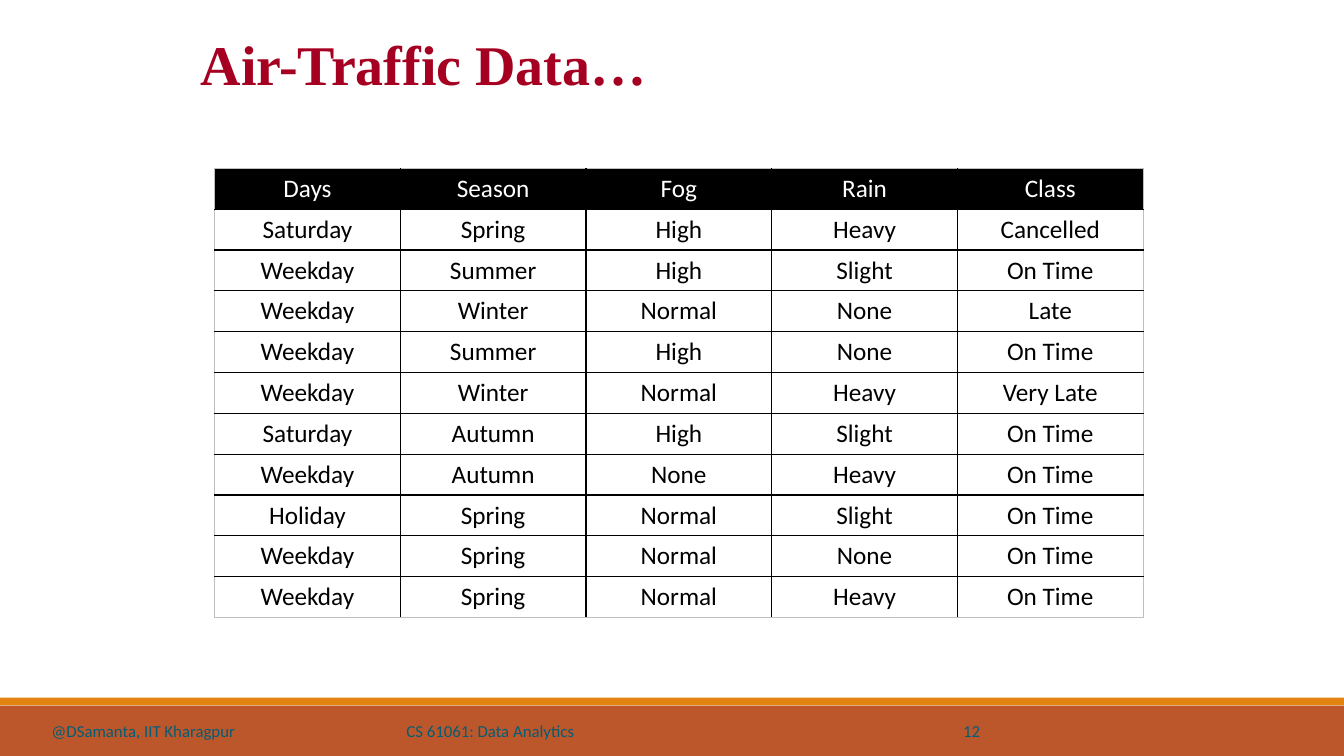
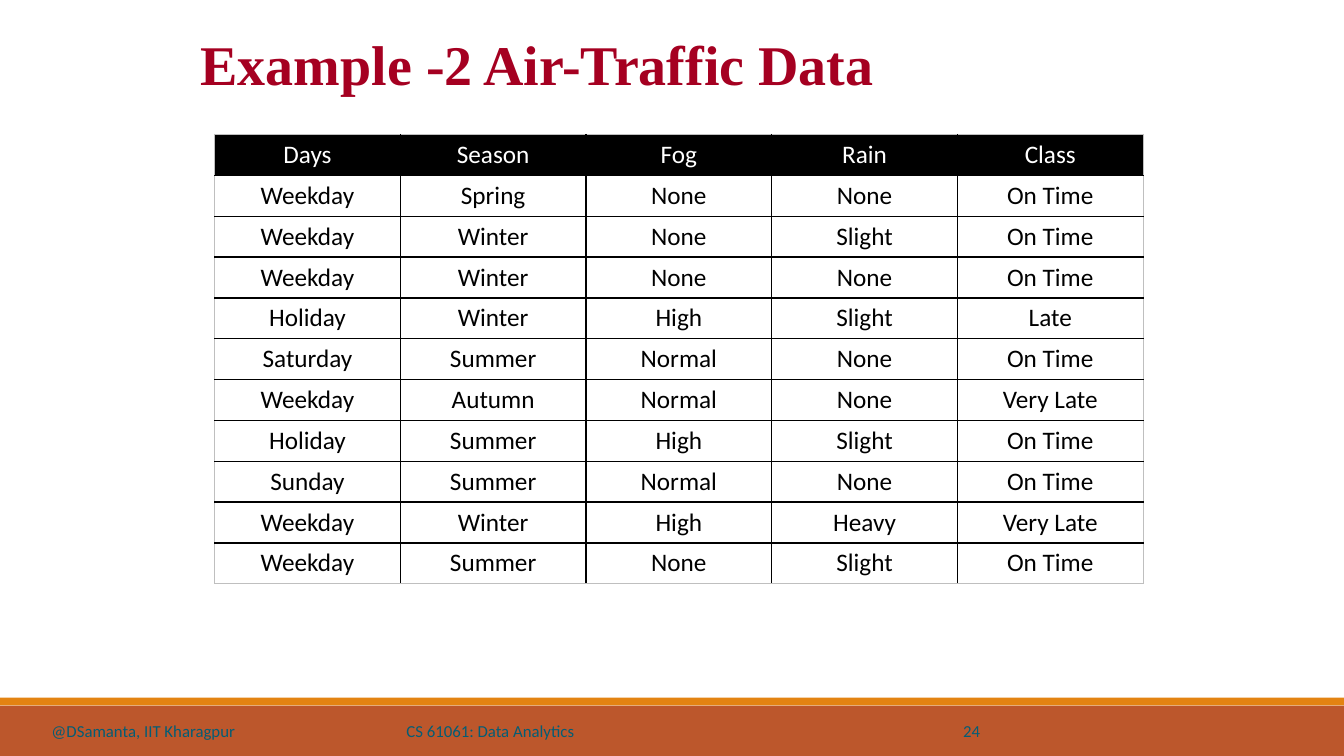
from lxml import etree
from pptx import Presentation
from pptx.dml.color import RGBColor
from pptx.enum.shapes import MSO_SHAPE
from pptx.enum.text import MSO_ANCHOR, PP_ALIGN
from pptx.oxml.ns import qn
from pptx.util import Inches, Pt

RECTANGLE = MSO_SHAPE.RECTANGLE
TOP, BOTTOM = MSO_ANCHOR.TOP, MSO_ANCHOR.BOTTOM
LEFT, CENTER, RIGHT = PP_ALIGN.LEFT, PP_ALIGN.CENTER, PP_ALIGN.RIGHT

SLIDE_WIDTH, SLIDE_HEIGHT = Inches(13.33), Inches(7.5)
COLORS = {
    "title": "A50021",
    "band": "BC572C",
    "stripe": "E38312",
    "footer": "045D75",
    "black": "000000",
    "white": "FFFFFF",
    "frame": "BFBFBF",
}
TITLE_FONT, BODY_FONT = "Times New Roman", "Calibri"

# Boxes are left, top, width, height in percent of the slide's size.
TITLE_BOX = (14.93, 3.87, 69.09, 16.67)
BAND_BOX = (0, 93.33, 100, 6.67)
STRIPE_BOX = (0, 92.27, 100, 1.06)
FOOTER_TOP, FOOTER_HEIGHT = 92.67, 5.33
TABLE_LEFT, TABLE_WIDTH, TABLE_HEIGHT = 15.97, 69.09, 59.47

HEADER = ("Days", "Season", "Fog", "Rain", "Class")
TRAFFIC_SLIDES = [
    {
        "title": "Air-Traffic Data…",
        "number": 12,
        "table_top": 22.27,
        "records": [
            ("Saturday", "Spring", "High", "Heavy", "Cancelled"),
            ("Weekday", "Summer", "High", "Slight", "On Time"),
            ("Weekday", "Winter", "Normal", "None", "Late"),
            ("Weekday", "Summer", "High", "None", "On Time"),
            ("Weekday", "Winter", "Normal", "Heavy", "Very Late"),
            ("Saturday", "Autumn", "High", "Slight", "On Time"),
            ("Weekday", "Autumn", "None", "Heavy", "On Time"),
            ("Holiday", "Spring", "Normal", "Slight", "On Time"),
            ("Weekday", "Spring", "Normal", "None", "On Time"),
            ("Weekday", "Spring", "Normal", "Heavy", "On Time"),
        ],
    },
    {
        "title": "Example -2 Air-Traffic Data",
        "number": 24,
        "table_top": 17.8,
        "records": [
            ("Weekday", "Spring", "None", "None", "On Time"),
            ("Weekday", "Winter", "None", "Slight", "On Time"),
            ("Weekday", "Winter", "None", "None", "On Time"),
            ("Holiday", "Winter", "High", "Slight", "Late"),
            ("Saturday", "Summer", "Normal", "None", "On Time"),
            ("Weekday", "Autumn", "Normal", "None", "Very Late"),
            ("Holiday", "Summer", "High", "Slight", "On Time"),
            ("Sunday", "Summer", "Normal", "None", "On Time"),
            ("Weekday", "Winter", "High", "Heavy", "Very Late"),
            ("Weekday", "Summer", "None", "Slight", "On Time"),
        ],
    },
]


def rgb(name):
    return RGBColor.from_string(COLORS[name])


def to_emu(box):
    """Turn a box in percent into slide lengths."""
    sides = (SLIDE_WIDTH, SLIDE_HEIGHT) * 2
    return [round(share * side / 100) for share, side in zip(box, sides)]


def write(frame, text, size, color, font=BODY_FONT, align=LEFT, bold=False):
    frame.text = text
    paragraph = frame.paragraphs[0]
    paragraph.alignment = align
    style = paragraph.runs[0].font
    style.name, style.size, style.bold = font, Pt(size), bold
    style.color.rgb = rgb(color)


def add_label(slide, box, text, size, color, anchor=TOP, **style):
    frame = slide.shapes.add_textbox(*to_emu(box)).text_frame
    frame.word_wrap = True
    frame.vertical_anchor = anchor
    frame.margin_left = frame.margin_top = 0
    frame.margin_right = frame.margin_bottom = 0
    write(frame, text, size, color, **style)


def add_band(slide, box, color):
    band = slide.shapes.add_shape(RECTANGLE, *to_emu(box))
    band.shadow.inherit = False
    band.fill.solid()
    band.fill.fore_color.rgb = rgb(color)
    band.line.fill.background()


def add_footer(slide, number):
    add_band(slide, BAND_BOX, "band")
    add_band(slide, STRIPE_BOX, "stripe")
    for left, width, text, align in (
        (3.83, 17.93, "@DSamanta, IIT Kharagpur", LEFT),
        (22.43, 28.13, "CS 61061: Data Analytics", CENTER),
        (66.54, 6.38, str(number), RIGHT),
    ):
        box = (left, FOOTER_TOP, width, FOOTER_HEIGHT)
        add_label(slide, box, text, 12, "footer", anchor=BOTTOM, align=align)


def set_borders(cell, edge_colors):
    """Draw the cell's sides; edge_colors follows left, right, top, bottom."""
    properties = cell._tc.get_or_add_tcPr()
    for side, color in zip("LRTB", edge_colors):
        line = etree.SubElement(properties, qn(f"a:ln{side}"), w=str(Pt(1)))
        fill = etree.SubElement(line, qn("a:solidFill"))
        etree.SubElement(fill, qn("a:srgbClr"), val=COLORS[color])


def add_traffic_table(slide, box, rows):
    left, top, width, height = to_emu(box)
    last_row, last_column = len(rows) - 1, len(HEADER) - 1
    table = slide.shapes.add_table(
        len(rows), len(HEADER), left, top, width, height
    ).table
    table.horz_banding = False
    for column in table.columns:
        column.width = width // len(HEADER)
    for row in table.rows:
        row.height = height // len(rows)

    for r, record in enumerate(rows):
        for c, value in enumerate(record):
            cell = table.cell(r, c)
            outer = (c == 0, c == last_column, r == 0, r == last_row)
            set_borders(cell, ["frame" if edge else "black" for edge in outer])
            if r == 0:
                cell.fill.solid()
                cell.fill.fore_color.rgb = rgb("black")
            else:
                cell.fill.background()
            color = "black" if r else "white"
            write(cell.text_frame, value, 18, color, align=CENTER)


def add_traffic_slide(prs, title, number, table_top, records):
    slide = prs.slides.add_slide(prs.slide_layouts[6])
    slide.background.fill.solid()
    slide.background.fill.fore_color.rgb = rgb("white")
    add_footer(slide, number)
    add_label(slide, TITLE_BOX, title, 40, "title", font=TITLE_FONT, bold=True)
    table_box = (TABLE_LEFT, table_top, TABLE_WIDTH, TABLE_HEIGHT)
    add_traffic_table(slide, table_box, [HEADER, *records])


def main():
    prs = Presentation()
    prs.slide_width, prs.slide_height = SLIDE_WIDTH, SLIDE_HEIGHT
    for content in TRAFFIC_SLIDES:
        add_traffic_slide(prs, **content)
    prs.save("out.pptx")


if __name__ == "__main__":
    main()
